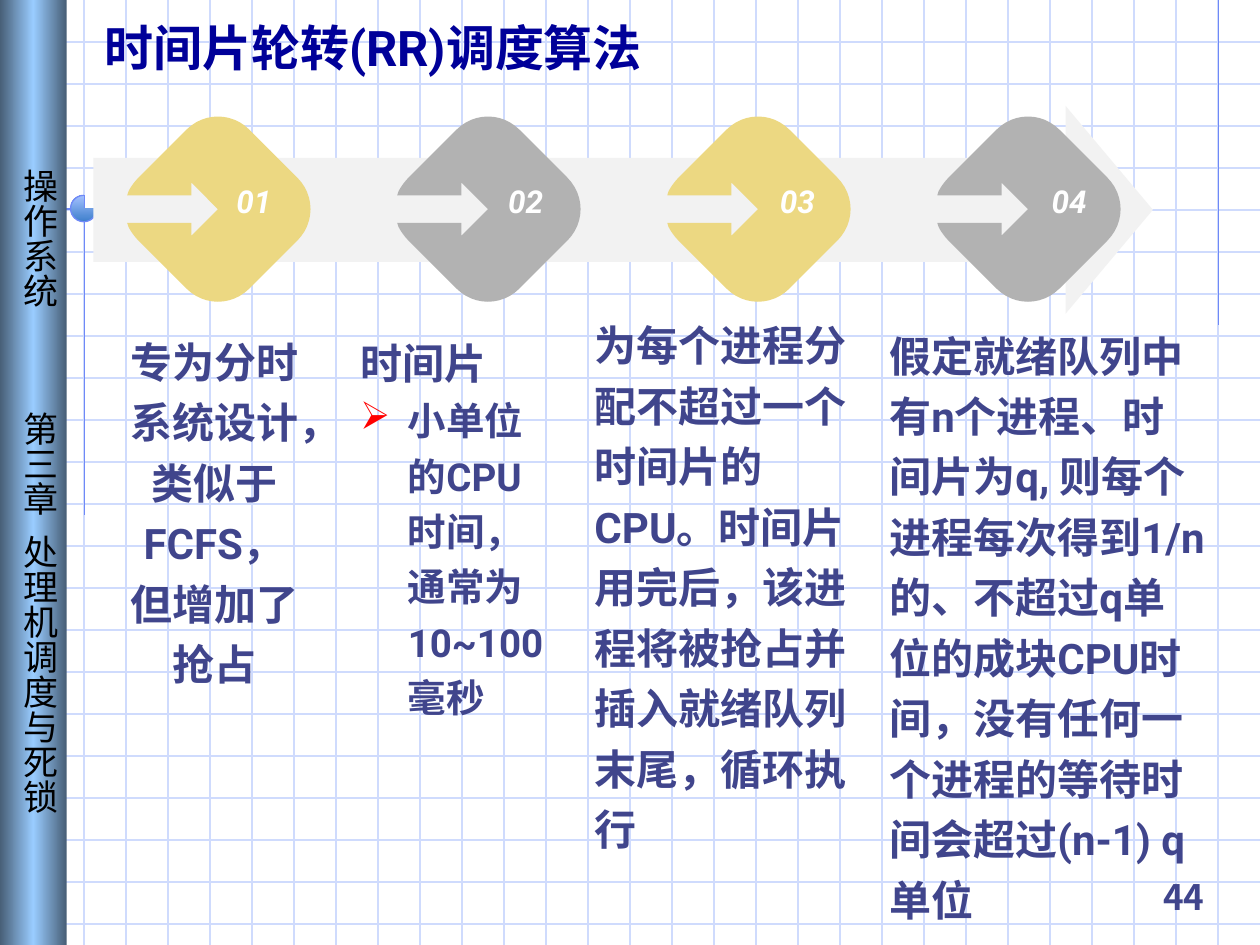
from dataclasses import dataclass

from lxml import etree
from pptx import Presentation
from pptx import util as u
from pptx.dml.color import RGBColor
from pptx.enum import shapes, text
from pptx.oxml.ns import qn

# Layout grid: 100 columns by 75 rows of square cells
COLUMNS, ROWS = 100, 75
CELL = u.Inches(0.1)
RULE_GAP = 10 / 3

ROBOTO, NOTO = "Roboto", "Noto Sans CJK SC"
INK, NAVY, WHITE, BLACK, RED = "40458C", "000099", "FFFFFF", "000000", "FF0000"
PALE_RULE, RULE, BAND = "CFDBFD", "6F89F7", "F2F2F2"
GOLD, GREY = "ECD882", "B2B2B2"
LEFT, CENTER, RIGHT = text.PP_ALIGN.LEFT, text.PP_ALIGN.CENTER, text.PP_ALIGN.RIGHT
TOP, MIDDLE, BOTTOM = (text.MSO_ANCHOR.TOP, text.MSO_ANCHOR.MIDDLE,
                       text.MSO_ANCHOR.BOTTOM)


@dataclass(frozen=True)
class Box:
    col: float
    row: float
    cols: float
    rows: float

    def emu(self) -> list[int]:
        return [cells(v) for v in (self.col, self.row, self.cols, self.rows)]


@dataclass(frozen=True)
class Style:
    size: float
    color: str = INK
    font: str = ROBOTO
    bold: bool = True
    italic: bool = False
    align: text.PP_ALIGN = LEFT
    spacing: float = 1.0
    bullet: str = ""


@dataclass(frozen=True)
class Step:
    number: str
    color: str
    box: Box
    lines: tuple[tuple[str, Style], ...]


BODY = Style(24, spacing=1.2)
CENTERED = Style(24, spacing=1.2, align=CENTER)
BULLETED = Style(22, spacing=1.2, bullet="➢")
NUMBER = Style(18, WHITE, italic=True, align=CENTER, spacing=0.8)

STEPS = (
    Step("01", GOLD, Box(8.9, 25.4, 16.2, 36.5),
         (("专为分时系统设计，类似于FCFS，但增加了抢占", CENTERED),)),
    Step("02", GREY, Box(27.6, 25.5, 17.6, 35.8),
         (("时间片", BODY), ("小单位的CPU时间，通常为10~100毫秒", BULLETED))),
    Step("03", GOLD, Box(46.2, 24.1, 22.4, 41.5),
         (("为每个进程分配不超过一个时间片的CPU。时间片用完后，"
           "该进程将被抢占并插入就绪队列末尾，循环执行", BODY),)),
    Step("04", GREY, Box(69.6, 24.9, 27.1, 49.5),
         (("假定就绪队列中有n个进程、时间片为q, 则每个进程每次得到1/n的、"
           "不超过q单位的成块CPU时间，没有任何一个进程的等待时间会超过(n-1) q单位", BODY),)),
)

# Rounded diamond with an arrow notch, in cells from its centre:
# one point is a straight side, three points are a Bézier corner
DIAMOND = (
    [(-2.1, -2.1)], [(-2.1, -1.1)], [(-7.2, -1.1)], [(-7.1, -1.4)],
    [(-6.9, -1.8), (-6.6, -2.2), (-6.3, -2.5)], [(-2.5, -6.3)],
    [(-1.1, -7.7), (1.1, -7.7), (2.5, -6.3)], [(6.3, -2.5)],
    [(7.7, -1.1), (7.7, 1.1), (6.3, 2.5)], [(2.5, 6.3)],
    [(1.1, 7.7), (-1.1, 7.7), (-2.5, 6.3)], [(-6.3, 2.5)],
    [(-6.6, 2.2), (-6.9, 1.8), (-7.1, 1.4)],
    [(-7.2, 1.1)], [(-2.1, 1.1)], [(-2.1, 2.1)],
)
CURVE_STEPS = 12


def cells(count: float) -> int:
    return round(count * CELL)


def rgb(color: str) -> RGBColor:
    return RGBColor.from_string(color)


def fill_plain(shape, color: str) -> None:
    shape.fill.solid()
    shape.fill.fore_color.rgb = rgb(color)
    shape.line.fill.background()
    shape.shadow.inherit = False


def add_rule(slide, start: tuple, end: tuple, color: str) -> None:
    rule = slide.shapes.add_connector(
        shapes.MSO_CONNECTOR.STRAIGHT, *map(cells, (*start, *end)))
    rule.line.color.rgb = rgb(color)
    rule.line.width = u.Pt(0.75)
    etree.SubElement(rule._element.spPr, qn("a:effectLst"))


def format_paragraph(paragraph, style: Style) -> None:
    paragraph.alignment = style.align
    paragraph.line_spacing = style.spacing
    if style.bullet:
        props = paragraph._p.get_or_add_pPr()
        props.set("marL", str(u.Inches(0.38)))
        props.set("indent", str(-u.Inches(0.38)))
        bullet_color = etree.SubElement(props, qn("a:buClr"))
        etree.SubElement(bullet_color, qn("a:srgbClr"), val=RED)
        etree.SubElement(props, qn("a:buChar"), char=style.bullet)
    font = paragraph.font
    font.name, font.size = style.font, u.Pt(style.size)
    font.bold, font.italic = style.bold, style.italic
    font.color.rgb = rgb(style.color)


def write(shape, lines, anchor=TOP) -> None:
    frame = shape.text_frame
    frame.word_wrap = True
    frame.auto_size = text.MSO_AUTO_SIZE.NONE
    frame.vertical_anchor = anchor
    for index, (words, style) in enumerate(lines):
        paragraph = frame.add_paragraph() if index else frame.paragraphs[0]
        paragraph.text = words
        format_paragraph(paragraph, style)


def add_text(slide, box: Box, lines, anchor=TOP) -> None:
    write(slide.shapes.add_textbox(*box.emu()), lines, anchor)


def bezier(points: list, t: float) -> tuple:
    weights = ((1 - t) ** 3, 3 * t * (1 - t) ** 2, 3 * t * t * (1 - t), t ** 3)
    return tuple(sum(w * p[axis] for w, p in zip(weights, points)) for axis in (0, 1))


def add_diamond(slide, col: float, row: float, color: str) -> None:
    outline = [(0, 0)]
    for side in DIAMOND:
        if len(side) == 1:
            outline += side
        else:
            corner = [outline[-1], *side]
            outline += [bezier(corner, i / CURVE_STEPS)
                        for i in range(1, CURVE_STEPS + 1)]
    points = [(cells(col + x), cells(row + y)) for x, y in outline]
    builder = slide.shapes.build_freeform(*points[0])
    builder.add_line_segments(points[1:], close=True)
    fill_plain(builder.convert_to_shape(), color)


def add_background(slide) -> None:
    for i in range(1, 23):
        add_rule(slide, (0, i * RULE_GAP), (COLUMNS, i * RULE_GAP), PALE_RULE)
    for i in range(1, 30):
        add_rule(slide, (i * RULE_GAP, 0), (i * RULE_GAP, ROWS), PALE_RULE)
    add_rule(slide, (96.7, 0), (96.7, 25.8), RULE)
    add_rule(slide, (24, 16.6), (4.5, 16.6), RULE)
    add_rule(slide, (6.7, 15.5), (6.7, 40.9), RULE)
    ring = slide.shapes.add_shape(shapes.MSO_SHAPE.ARC, *Box(5.6, 15.5, 2.1, 2.1).emu())
    ring.adjustments[0], ring.adjustments[1] = 0, 162  # from 0 to 270 degrees
    ring.line.color.rgb = rgb(RULE)
    ring.line.width = u.Pt(0.75)
    ring.shadow.inherit = False


def add_sidebar(slide) -> None:
    sidebar = slide.shapes.add_shape(
        shapes.MSO_SHAPE.RECTANGLE, *Box(0, 0, 5.3, ROWS).emu())
    fill_plain(sidebar, WHITE)
    sidebar.fill.gradient()
    sidebar.fill.gradient_angle = 0
    stops = sidebar.fill._fill._gradFill.find(qn("a:gsLst"))
    stops.clear()
    for position, color in ((0, "475E76"), (50, "99CCFF"), (100, "475E76")):
        stop = etree.SubElement(stops, qn("a:gs"), pos=str(position * 1000))
        etree.SubElement(stop, qn("a:srgbClr"), val=color)
    # Vertical course and chapter names, placed by tab stops
    frame = sidebar.text_frame
    frame.margin_left = frame.margin_right = u.Inches(0.05)
    frame.margin_top = frame.margin_bottom = u.Inches(0.1)
    frame._txBody.bodyPr.set("vert", "eaVert")
    props = frame.paragraphs[0]._p.get_or_add_pPr()
    tabs = etree.SubElement(props, qn("a:tabLst"))
    for row in (12.4, 31.7, 41.4):
        etree.SubElement(tabs, qn("a:tab"), pos=str(cells(row)), algn="l")
    write(sidebar, [("\t操作系统\t第三章\t处理机调度与死锁",
                     Style(20, BLACK, NOTO, bold=False))])


def main() -> None:
    deck = Presentation()
    deck.slide_width, deck.slide_height = cells(COLUMNS), cells(ROWS)
    slide = deck.slides.add_slide(deck.slide_layouts[5])
    add_background(slide)
    add_sidebar(slide)

    # Title, raised above the ruled background
    title = slide.shapes.title
    title.left, title.top, title.width, title.height = Box(7.3, 0.9, 76.8, 5.7).emu()
    write(title, [("时间片轮转(RR)调度算法", Style(28, NAVY))])
    slide.shapes._spTree.append(title._element)

    # Arrow band with four numbered steps
    band = slide.shapes.add_shape(
        shapes.MSO_SHAPE.RIGHT_ARROW, *Box(7.4, 8.4, 84.1, 16.5).emu())
    band.adjustments[0], band.adjustments[1] = 0.5, 0.42
    fill_plain(band, BAND)
    for i, step in enumerate(STEPS):
        add_diamond(slide, 17.3 + 21.43 * i, 16.6, step.color)
        add_text(slide, Box(17.4 + 21.57 * i, 13.6, 5.5, 5.3),
                 [(step.number, NUMBER)], MIDDLE)
        add_text(slide, step.box, step.lines)

    # Page number
    add_text(slide, Box(88.3, 68.3, 8.3, 5),
             [("44", Style(20, font=NOTO, align=RIGHT))], BOTTOM)
    deck.save("out.pptx")


if __name__ == "__main__":
    main()
